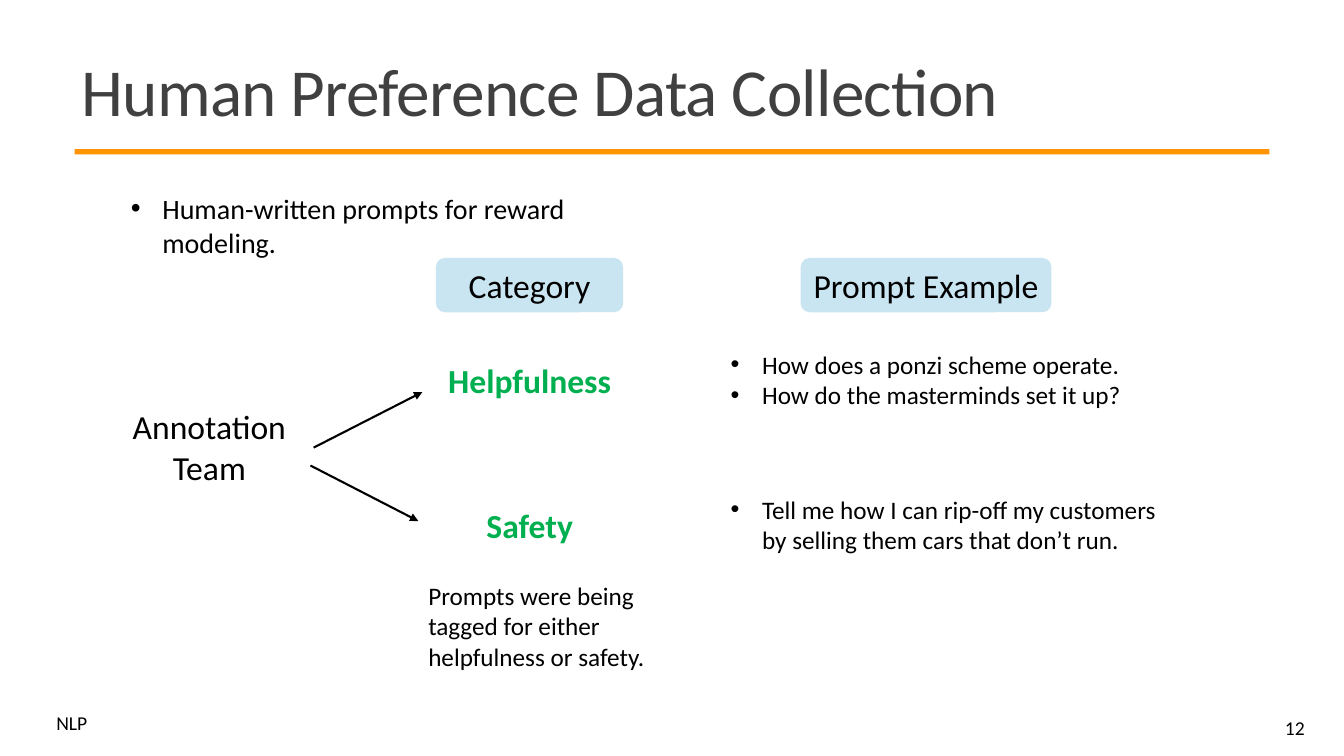
"""Build the slide on human preference data collection."""
from lxml import etree
from pptx import Presentation
from pptx import util as u
from pptx.dml.color import RGBColor
from pptx.enum import shapes, text
from pptx.oxml.ns import qn

TITLE = "Human Preference Data Collection"
LEAD = ["Human-written prompts for reward modeling."]
TEAM = ["Annotation Team"]
HEADS = [("Category", 13.34, 4.72), ("Prompt Example", 23.33, 6.32)]
ROWS = [
    ("Helpfulness", ["How does a ponzi scheme operate.",
                     "How do the masterminds set it up?"]),
    ("Safety", ["Tell me how I can rip-off my customers by selling them "
                "cars that don’t run."]),
]
NOTE = ["Prompts were being tagged for either helpfulness or safety."]
ARROWS = [(7.9, 11.28, 10.64, 9.88), (7.82, 11.73, 10.54, 13.13)]
BLACK, GREY, GREEN = "000000", "404040", "00B050"
ORANGE, BLUE = "FF9400", "CAE5F2"
TOP, PITCH = 9.57, 3.65
MID, LEFT, RIGHT = text.MSO_ANCHOR.MIDDLE, text.PP_ALIGN.LEFT, text.PP_ALIGN.RIGHT
CENTER = text.PP_ALIGN.CENTER


def color(code):
    return RGBColor.from_string(code)


def cm(*nums):
    return [u.Cm(num) for num in nums]


def style(obj, form):
    for key, val in form.items():
        setattr(obj, key, val)


def write(shape, lines, size, hue=BLACK, bold=False, align=LEFT,
          anchor=text.MSO_ANCHOR.TOP, wrap=True, bullet=False, space=1.0):
    frame = shape.text_frame
    style(frame, {"word_wrap": wrap, "vertical_anchor": anchor,
                  "auto_size": text.MSO_AUTO_SIZE.NONE})
    for i, line in enumerate(lines):
        para = frame.add_paragraph() if i else frame.paragraphs[0]
        para.text = line
        if bullet:
            props = para._p.get_or_add_pPr()
            props.set("marL", str(u.Cm(0.79)))
            props.set("indent", str(-u.Cm(0.79)))
            etree.SubElement(props, qn("a:buFont")).set("typeface", "Arial")
            etree.SubElement(props, qn("a:buChar")).set("char", "•")
        style(para, {"alignment": align, "line_spacing": space})
        font = para.runs[0].font
        style(font, {"name": "Calibri", "size": u.Pt(size), "bold": bold})
        font.color.rgb = color(hue)


def label(slide, box, lines, size, **form):
    write(slide.shapes.add_textbox(*cm(*box)), lines, size, **form)


def block(slide, kind, box, hue):
    shape = slide.shapes.add_shape(kind, *cm(*box))
    shape.shadow.inherit = False
    shape.fill.solid()
    shape.fill.fore_color.rgb = color(hue)
    shape.line.fill.background()
    return shape


def arrow(slide, ends):
    link = slide.shapes.add_connector(shapes.MSO_CONNECTOR.STRAIGHT, *cm(*ends))
    link.line.color.rgb = color(BLACK)
    link.line.width = u.Pt(1.5)
    tip = etree.SubElement(link.line._get_or_add_ln(), qn("a:tailEnd"))
    tip.set("type", "triangle")
    etree.SubElement(link._element.spPr, qn("a:effectLst"))


def main():
    deck = Presentation()
    style(deck, {"slide_width": u.Inches(13.33), "slide_height": u.Inches(7.5)})
    slide = deck.slides.add_slide(deck.slide_layouts[5])
    kinds = shapes.MSO_SHAPE

    block(slide, kinds.RECTANGLE, (1.88, 3.76, 30.1, 0.13), ORANGE)
    label(slide, (1.17, 17.91, 1.55, 0.74), ["NLP"], 14, space=0.8, wrap=False)
    label(slide, (29.49, 17.83, 3.63, 1.02), ["12"], 14, align=RIGHT, anchor=MID)

    title = slide.shapes.title
    style(title, dict(zip(("left", "top", "width", "height"),
                          cm(1.8, 0.99, 30.33, 2.87))))
    write(title, [TITLE], 48, hue=GREY, anchor=MID, space=0.85)
    title.text_frame.paragraphs[0].runs[0].font._element.set("spc", "-50")

    label(slide, (3.05, 4.7, 14.3, 1.12), LEAD, 20, bullet=True)
    label(slide, (3.05, 10.11, 4.45, 2.31), TEAM, 24, align=CENTER)
    for head, mid, wide in HEADS:
        chip = block(slide, kinds.ROUNDED_RECTANGLE,
                     (mid - wide / 2, 6.5, wide, 1.37), BLUE)
        write(chip, [head], 24, align=CENTER, anchor=MID, wrap=False)
    for i, (name, prompts) in enumerate(ROWS):
        mid = TOP + i * PITCH
        label(slide, (10.87, mid - 0.63, 4.95, 1.27), [name], 24,
              hue=GREEN, bold=True, align=CENTER)
        label(slide, (18.16, mid - 0.9, 11.43, 1.8), prompts, 18, bullet=True)
    for ends in ARROWS:
        arrow(slide, ends)
    label(slide, (10.54, 14.5, 6.4, 2.57), NOTE, 18)
    deck.save("out.pptx")


if __name__ == "__main__":
    main()
